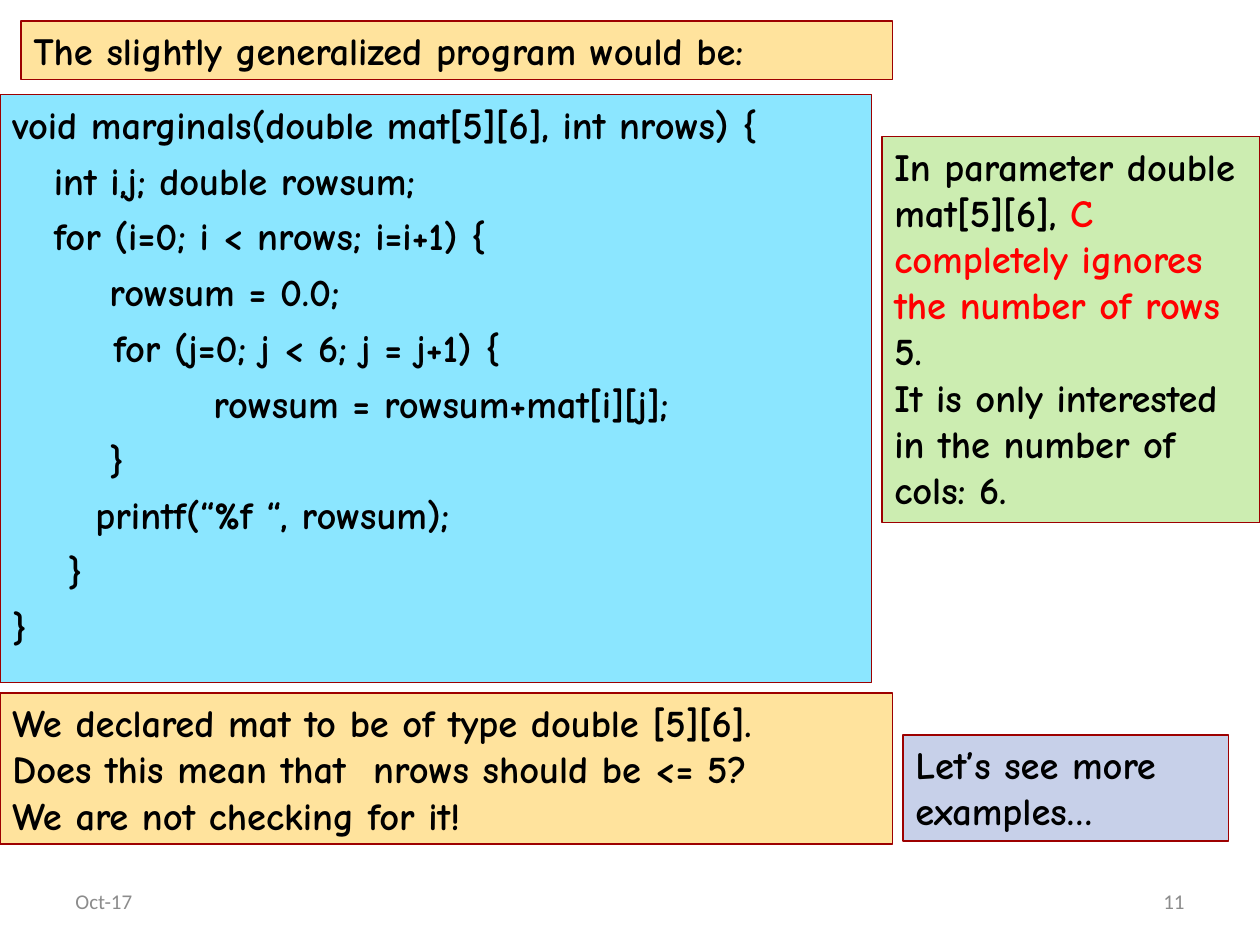
"""Builds a slide on passing a matrix to a function in C."""
from pptx import Presentation
from pptx.dml.color import RGBColor as Rgb
from pptx.enum.shapes import MSO_SHAPE as Kind
from pptx.enum.text import MSO_ANCHOR as Anchor, MSO_AUTO_SIZE as Fit, PP_ALIGN as Align
from pptx.util import Inches, Pt

HUES = {
    "ink": "000000", "alert": "FF0000", "edge": "9D0000", "foot": "8C8C8C",
    "code": "8BE6FF", "sand": "FFE39D", "leaf": "CCEDB1", "sky": "C7D0E9",
}


class Sheet:
    """Holds the style and the current slide, on a grid of 120 by 90 units."""

    def __init__(self, deck):
        self.unit = Inches(1 / 12)
        self.font, self.size = "Comic Neue", 22
        self.slide = deck.slides.add_slide(deck.slide_layouts[5])

    def hue(self, name):
        return Rgb.from_string(HUES[name])

    def span(self, *sides):
        return [round(side * self.unit) for side in sides]

    def fill_text(self, frame, lines, before=0, steps=()):
        frame.word_wrap = True
        frame.auto_size = Fit.NONE
        frame.vertical_anchor = Anchor.TOP
        for n, line in enumerate(lines):
            para = frame.add_paragraph() if n else frame.paragraphs[0]
            para.alignment = Align.LEFT
            para.space_before = Pt(before)
            if steps:
                props = para._p.get_or_add_pPr()
                props.set("marL", str(Inches(0.11 * steps[n])))
                props.set("indent", "0")
            for text, hue in line:
                self.add_run(para, text, hue, self.font, self.size, True)

    def add_run(self, para, text, hue, font, size, bold=False):
        run = para.add_run()
        run.text = text
        run.font.name, run.font.size, run.font.bold = font, Pt(size), bold
        run.font.color.rgb = self.hue(hue)

    def paint(self, shape, fill):
        shape.fill.solid()
        shape.fill.fore_color.rgb = self.hue(fill)
        shape.line.color.rgb = self.hue("edge")
        shape.line.width = Pt(0.74)

    def title(self, at, fill, text):
        head = self.slide.shapes.title
        head.left, head.top, head.width, head.height = self.span(*at)
        self.paint(head, fill)
        self.fill_text(head.text_frame, [[(text, "ink")]])

    def panel(self, at, fill, lines, **style):
        box = self.slide.shapes.add_shape(Kind.RECTANGLE, *self.span(*at))
        box.shadow.inherit = False
        self.paint(box, fill)
        self.fill_text(box.text_frame, lines, **style)

    def foot(self, left, text, align):
        box = self.slide.shapes.add_textbox(*self.span(left, 83.4, 28, 4.8))
        box.text_frame.word_wrap = True
        box.text_frame.vertical_anchor = Anchor.MIDDLE
        para = box.text_frame.paragraphs[0]
        para.alignment = align
        self.add_run(para, text, "foot", "Calibri", 12)


def plain(*lines):
    return [[(line, "ink")] for line in lines]


CODE = [
    (0, "void marginals(double mat[5][6], int nrows) {"),
    (3, "int i,j; double rowsum;"),
    (3, "for (i=0; i < nrows; i=i+1) {"),
    (7, "rowsum = 0.0;"),
    (7.3, "for (j=0; j < 6; j = j+1) {"),
    (14.5, "rowsum = rowsum+mat[i][j];"),
    (7, "}"),
    (6, "printf(“%f “, rowsum);"),
    (4, "}"),
    (0, "}"),
]

deck = Presentation()
deck.slide_width, deck.slide_height = Inches(10), Inches(7.5)
sheet = Sheet(deck)
steps, code = zip(*CODE)

sheet.title((2, 2, 83, 5.6), "sand", "The slightly generalized program would be:")
sheet.panel((0, 9, 83, 56), "code", plain(*code), before=5.5, steps=steps)
sheet.panel((84, 13, 36, 36.8), "leaf", [
    [("In parameter double mat[5][6], ", "ink"),
     ("C completely ignores the number of rows ", "alert"),
     ("5.", "ink")],
    *plain("It is only interested in the number of cols: 6."),
])
sheet.panel((86, 70, 31, 10.1), "sky", plain("Let’s see more examples…"))
sheet.panel((0, 66, 85, 14.4), "sand", plain(
    "We declared mat to be of type double [5][6].",
    "Does this mean that  nrows should be <= 5?",
    "We are not checking for it!",
))
sheet.foot(6, "Oct-17", Align.LEFT)
sheet.foot(86, "11", Align.RIGHT)

deck.save("out.pptx")
